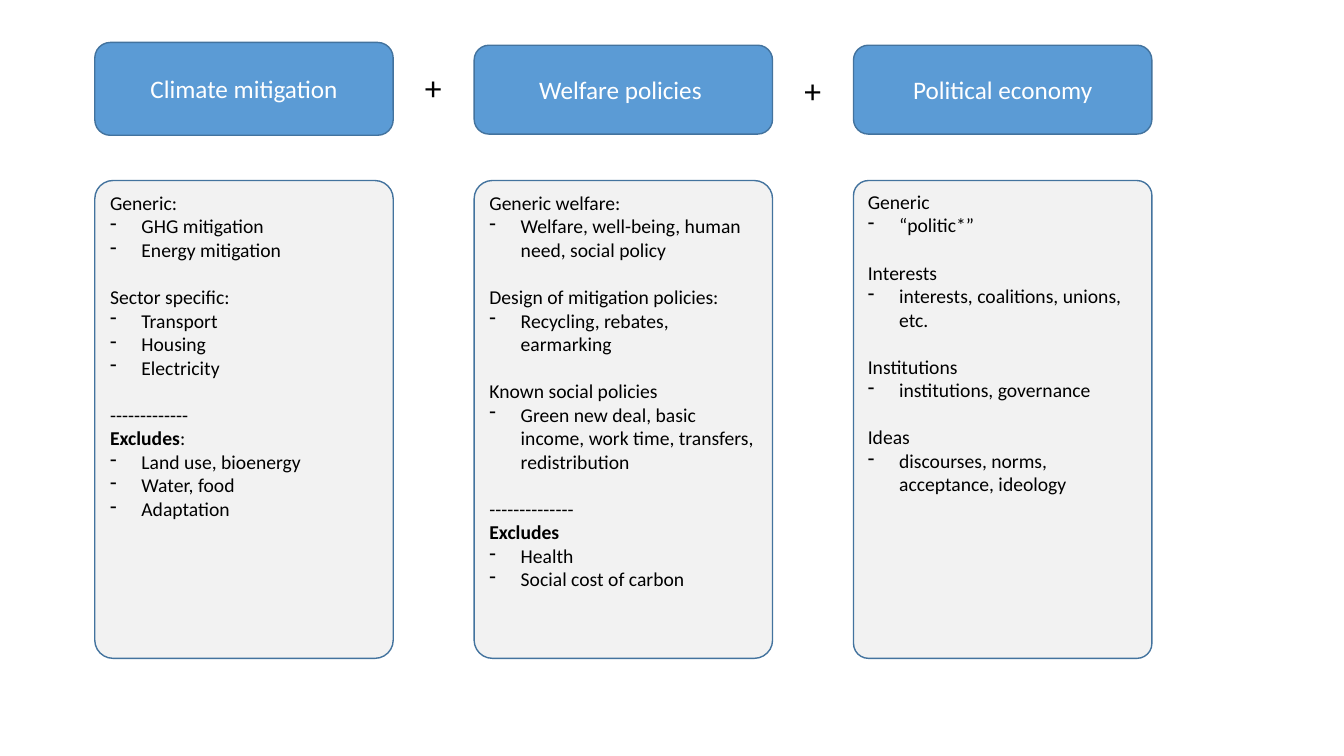
import pptx
import pptx.util
import pptx.dml.color
import pptx.enum.shapes
import pptx.enum.text
import lxml.etree
from pptx.util import Cm, Pt

COLORS = {"header": "5B9BD5", "card": "F2F2F2", "line": "43739E",
          "white": "FFFFFF", "black": "000000"}
LEFT, PITCH, WIDTH = 2.39, 9.56, 7.52
CARD_TOP, CARD_HEIGHT = 4.55, 12.04
GROUP_GAP = Pt(16.8)
INDENT = Cm(0.79)
ALIGN = pptx.enum.text.PP_ALIGN
ANCHOR = pptx.enum.text.MSO_ANCHOR

# Each column: title, header top and height, card corner, groups.
# A group holds its heading lines and its dashed items.
COLUMNS = [
    ("Climate mitigation", 1.07, 2.34, 0.061, [
        (["Generic:"], ["GHG mitigation", "Energy mitigation"]),
        (["Sector specific:"], ["Transport", "Housing", "Electricity"]),
        (["-" * 13, "Excludes:"],
         ["Land use, bioenergy", "Water, food", "Adaptation"]),
    ]),
    ("Welfare policies ", 1.14, 2.24, 0.061, [
        (["Generic welfare:"],
         ["Welfare, well-being, human need, social policy"]),
        (["Design of mitigation policies:"],
         ["Recycling, rebates, earmarking"]),
        (["Known social policies"],
         ["Green new deal, basic income, work time, transfers, "
          "redistribution"]),
        (["-" * 14, "Excludes"], ["Health", "Social cost of carbon"]),
    ]),
    ("Political economy", 1.14, 2.24, 0.05, [
        (["Generic"], ["“politic*”"]),
        (["Interests"], ["interests, coalitions, unions, etc."]),
        (["Institutions"], ["institutions, governance"]),
        (["Ideas"], ["discourses, norms, acceptance, ideology"]),
    ]),
]
PLUS_TOPS = [1.57, 1.63]


def rgb(name):
    return pptx.dml.color.RGBColor.from_string(COLORS[name])


def add_run(p, text, size, color="black", bold=False):
    r = p.add_run()
    r.text = text
    font = {"name": "Calibri", "size": Pt(size), "bold": bold}
    for key, value in font.items():
        setattr(r.font, key, value)
    r.font.color.rgb = rgb(color)


def add_box(slide, x, y, height, fill, anchor):
    kind = pptx.enum.shapes.MSO_SHAPE.ROUNDED_RECTANGLE
    sp = slide.shapes.add_shape(kind, Cm(x), Cm(y), Cm(WIDTH), Cm(height))
    sp.shadow.inherit = False
    sp.fill.solid()
    sp.fill.fore_color.rgb = rgb(fill)
    sp.line.color.rgb = rgb("line")
    sp.line.width = Pt(1)
    for key, value in {"word_wrap": True, "vertical_anchor": anchor}.items():
        setattr(sp.text_frame, key, value)
    return sp


def add_header(slide, x, y, height, title):
    sp = add_box(slide, x, y, height, "header", ANCHOR.MIDDLE)
    p = sp.text_frame.paragraphs[0]
    p.alignment = ALIGN.CENTER
    add_run(p, title, 18, "white")


def add_dash(p):
    pPr = p._p.get_or_add_pPr()
    pPr.set("marL", str(INDENT))
    pPr.set("indent", str(-INDENT))
    tag = pptx.oxml.ns.qn("a:buChar")
    lxml.etree.SubElement(pPr, tag).set("char", "-")


def add_card(slide, x, corner, groups):
    sp = add_box(slide, x, CARD_TOP, CARD_HEIGHT, "card", ANCHOR.TOP)
    sp.adjustments[0] = corner
    tf = sp.text_frame
    p = tf.paragraphs[0]
    for g, (headings, items) in enumerate(groups):
        for i, text in enumerate(headings + items):
            if g or i:
                p = tf.add_paragraph()
            p.alignment = ALIGN.LEFT
            if g and i == 0:
                p.space_before = GROUP_GAP
            if i >= len(headings):
                add_dash(p)
            # Only the word "Excludes" is bold, not its colon
            if text.startswith("Excludes"):
                add_run(p, "Excludes", 14, bold=True)
                text = text.removeprefix("Excludes")
            if text:
                add_run(p, text, 14)


def add_plus(slide, x, y):
    sp = slide.shapes.add_textbox(Cm(x), Cm(y), Cm(0.94), Cm(1.27))
    sp.text_frame.word_wrap = False
    add_run(sp.text_frame.paragraphs[0], "+", 24)


def main():
    prs = pptx.Presentation()
    prs.slide_width, prs.slide_height = Cm(33.87), Cm(19.05)
    slide = prs.slides.add_slide(prs.slide_layouts[6])

    # Headers with their search-term cards
    for n, (title, top, height, corner, groups) in enumerate(COLUMNS):
        x = LEFT + n * PITCH
        add_header(slide, x, top, height, title)
        add_card(slide, x, corner, groups)

    # Plus signs between the headers
    for n, top in enumerate(PLUS_TOPS):
        add_plus(slide, 10.46 + n * PITCH, top)

    prs.save("out.pptx")


main()
